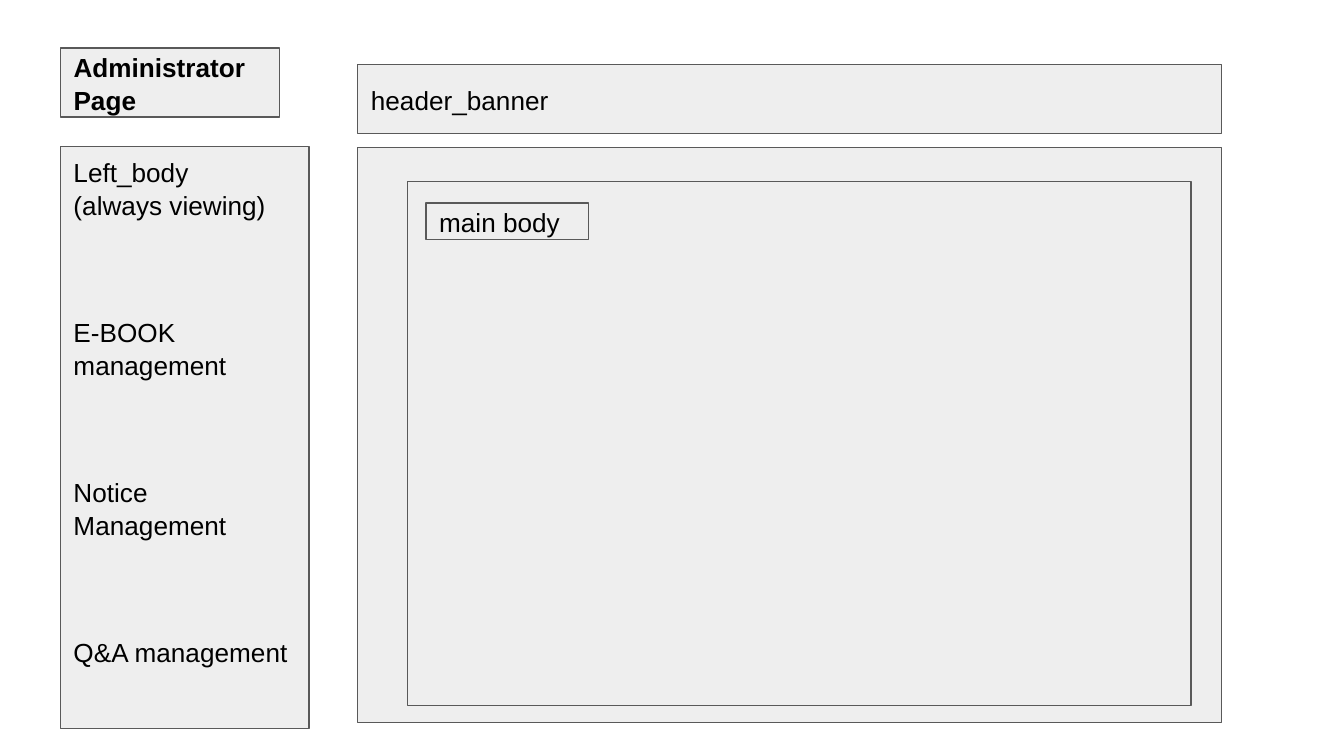
from pptx import Presentation
from pptx.dml.color import RGBColor
from pptx.enum.shapes import MSO_SHAPE
from pptx.enum.text import MSO_ANCHOR, MSO_AUTO_SIZE, PP_ALIGN
from pptx.util import Cm, Pt

RECT = MSO_SHAPE.RECTANGLE
LEFT = PP_ALIGN.LEFT
MIDDLE, TOP = MSO_ANCHOR.MIDDLE, MSO_ANCHOR.TOP
NO_FIT = MSO_AUTO_SIZE.NONE

FONT = "Arial"
INSET = 0.25
LINE_SPACING = 1.05
MENU_GAP = 50.4  # three text lines, in points

# Shared edges of the page frame, in cm
SIDE_X, MAIN_X, MAIN_W = 1.14, 6.76, 16.33
BAR_H = 1.3


def rgb(value):
    return RGBColor.from_string(value)


def style_box(sp):
    sp.fill.solid()
    sp.fill.fore_color.rgb = rgb("EEEEEE")
    sp.line.color.rgb = rgb("595959")
    sp.line.width = Pt(0.75)


def add_box(slide, x, y, w, h):
    sp = slide.shapes.add_shape(RECT, Cm(x), Cm(y), Cm(w), Cm(h))
    sp.shadow.inherit = False
    style_box(sp)
    return sp


def set_text(sp, text, bold=False, anchor=MIDDLE, top=INSET):
    tf = sp.text_frame
    tf.text = text
    tf.word_wrap = True
    tf.auto_size = NO_FIT
    tf.vertical_anchor = anchor
    tf.margin_left = tf.margin_right = tf.margin_bottom = Cm(INSET)
    tf.margin_top = Cm(top)
    for p in tf.paragraphs:
        p.alignment = LEFT
        p.line_spacing = LINE_SPACING
        for r in p.runs:
            r.font.name = FONT
            r.font.size = Pt(14)
            r.font.bold = bold
            r.font.color.rgb = rgb("000000")


def add_title(slide, text, x, y, w, h):
    sp = slide.shapes.title
    sp.left, sp.top, sp.width, sp.height = Cm(x), Cm(y), Cm(w), Cm(h)
    style_box(sp)
    set_text(sp, text, bold=True)


def add_menu(slide, heading, items, x, y, w, h):
    sp = add_box(slide, x, y, w, h)
    set_text(sp, "\n".join(heading + items), anchor=TOP, top=0.16)
    for p in sp.text_frame.paragraphs[len(heading):]:
        p.space_before = Pt(MENU_GAP)


def main():
    prs = Presentation()
    prs.slide_width, prs.slide_height = Cm(25.4), Cm(14.29)
    slide = prs.slides.add_slide(prs.slide_layouts[5])

    # Title and left menu
    add_title(slide, "Administrator Page", SIDE_X, 0.91, 4.14, BAR_H)
    add_menu(slide, ["Left_body", "(always viewing)"],
             ["E-BOOK management", "Notice Management", "Q&A management"],
             SIDE_X, 2.77, 4.7, 11)

    # Header banner
    banner = add_box(slide, MAIN_X, 1.22, MAIN_W, BAR_H)
    set_text(banner, "header_banner")

    # Main body with its inner frame and label
    add_box(slide, MAIN_X, 2.79, MAIN_W, 10.87)
    add_box(slide, 7.7, 3.43, 14.81, 9.91)
    label = add_box(slide, 8.05, 3.84, 3.07, 0.69)
    set_text(label, "main body")

    prs.save("out.pptx")


main()
